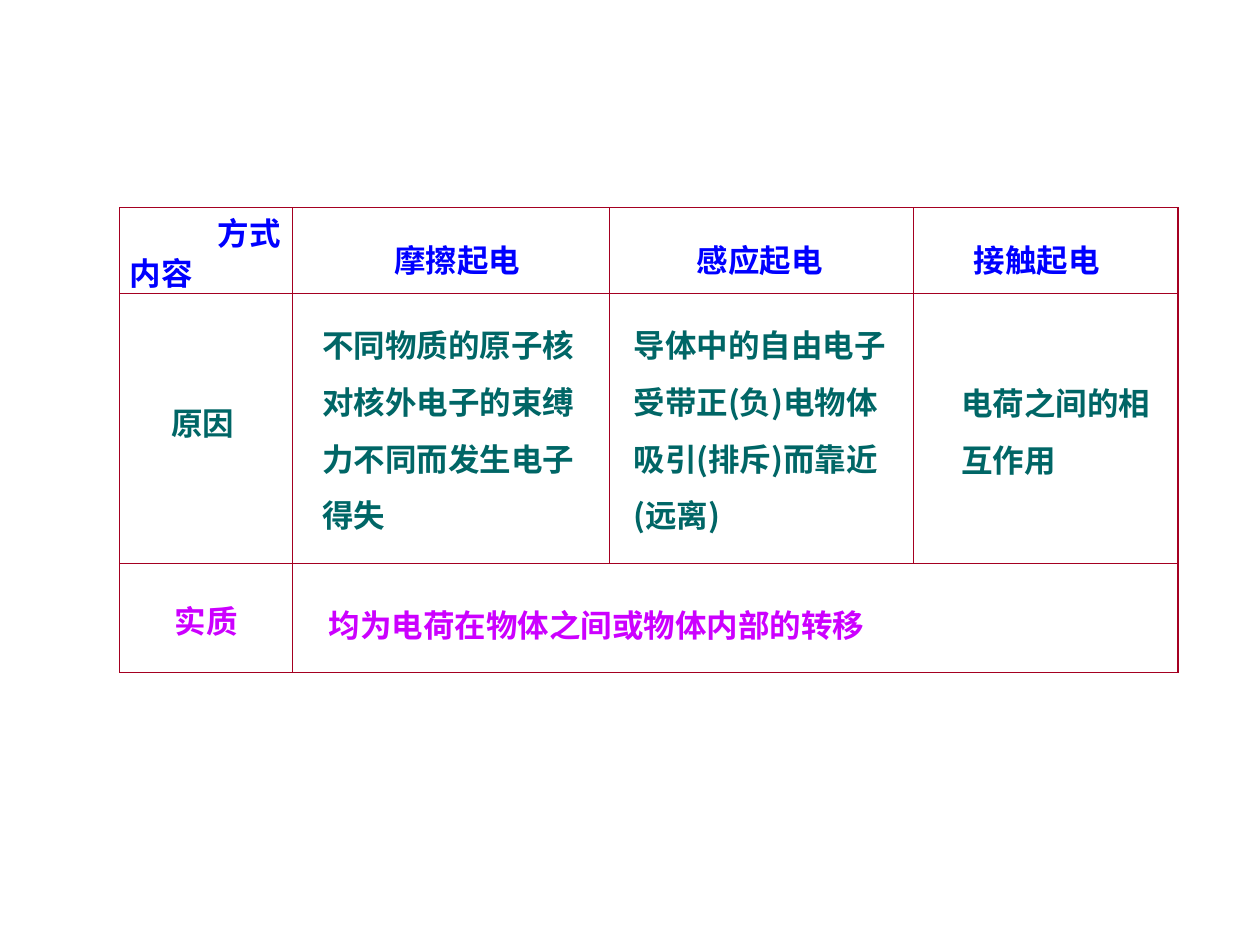
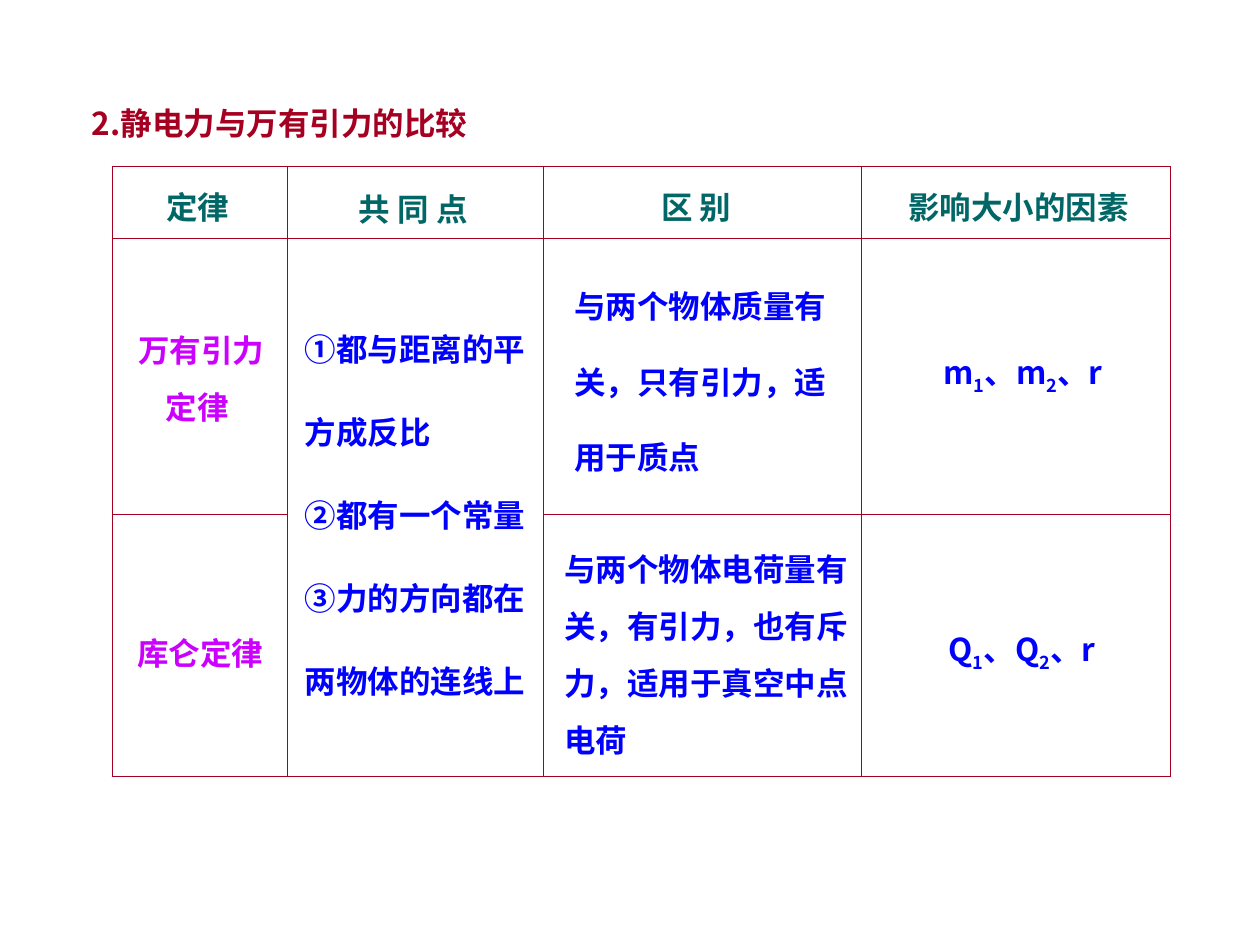
import pptx
import pptx.util
import pptx.dml.color
import pptx.enum.text
import pptx.oxml
import pptx.oxml.ns

RED = pptx.dml.color.RGBColor(0xA5, 0x00, 0x21)
GREEN = pptx.dml.color.RGBColor(0x00, 0x66, 0x66)
BLUE = pptx.dml.color.RGBColor(0x00, 0x00, 0xFF)
PINK = pptx.dml.color.RGBColor(0xCC, 0x00, 0xFF)
FONT = "Noto Sans CJK SC"
SIZE = pptx.util.Pt(18)
THICK = pptx.util.Pt(0.75)
THIN = pptx.util.Pt(0.45)
SPACE = pptx.oxml.ns.nsdecls("a")
LEFT = pptx.enum.text.PP_ALIGN.LEFT
MID = pptx.enum.text.PP_ALIGN.CENTER

deck = pptx.Presentation()
deck.slide_width = pptx.util.Inches(10)
deck.slide_height = pptx.util.Inches(7.5)
COL = deck.slide_width / 100
ROW = deck.slide_height / 75
blank = deck.slide_layouts[6]


def draw_grid(slide, left, top, cols, rows, joint):
    frame = slide.shapes.add_table(
        len(rows), len(cols), int(left * COL), int(top * ROW),
        int(sum(cols) * COL), int(sum(rows) * ROW))
    table = frame.table
    table.first_row = False
    table.horz_banding = False
    for c, width in enumerate(cols):
        table.columns[c].width = int(width * COL)
    for r, height in enumerate(rows):
        table.rows[r].height = int(height * ROW)
    start, end = joint
    table.cell(*start).merge(table.cell(*end))
    for r in range(len(rows)):
        for c in range(len(cols)):
            cell = table.cell(r, c)
            outer = {
                "lnL": c == 0,
                "lnR": c + cell.span_width == len(cols),
                "lnT": r == 0,
                "lnB": r + cell.span_height == len(rows),
            }
            props = cell._tc.get_or_add_tcPr()
            for side, edge in outer.items():
                props.append(pptx.oxml.parse_xml(
                    f'<a:{side} {SPACE} w="{THICK if edge else THIN}"><a:solidFill>'
                    f'<a:srgbClr val="{RED}"/></a:solidFill></a:{side}>'))
            cell.fill.background()


def write(slide, left, top, width, height, ink, text, gap=1.5, align=LEFT):
    box = slide.shapes.add_textbox(
        int(left * COL), int(top * ROW), int(width * COL), int(height * ROW))
    frame = box.text_frame
    frame.word_wrap = True
    frame.auto_size = pptx.enum.text.MSO_AUTO_SIZE.SHAPE_TO_FIT_TEXT
    frame.text = text.replace("|", "")
    for para, line in zip(frame.paragraphs, text.split("\n")):
        para.line_spacing = gap
        para.alignment = align
        parts = line.split("|")
        para.runs[0].text = parts[0]
        for part in parts[1:]:
            para.add_run().text = part
        for i, run in enumerate(para.runs):
            run.font.name = FONT
            run.font.size = SIZE
            run.font.bold = True
            run.font.color.rgb = ink
            props = run._r.get_or_add_rPr()
            props.append(pptx.oxml.parse_xml(f'<a:ea {SPACE} typeface="{FONT}"/>'))
            if i % 2:
                props.set("baseline", "-25000")


charge = deck.slides.add_slide(blank)
draw_grid(charge, 9.5, 16.5, [13.7, 25.2, 24.1, 21], [6.8, 21.4, 8.7], [(2, 1), (2, 3)])
write(charge, 12.6, 30.1, 18.2, 5.5, GREEN, "原因")
write(charge, 12.9, 45.8, 18.2, 5.5, PINK, "实质")
for left, top, width, height, cause in [
    (24.6, 23.9, 28.8, 19, "不同物质的原子核\n对核外电子的束缚\n力不同而发生电子\n得失"),
    (49.3, 23.9, 27.8, 19, "导体中的自由电子\n受带正(负)电物体\n吸引(排斥)而靠近\n(远离)"),
    (75.3, 28.5, 21.5, 10, "电荷之间的相\n互作用"),
]:
    write(charge, left, top, width, height, GREEN, cause)
write(charge, 25.1, 46.1, 62.2, 5.5, PINK, "均为电荷在物体之间或物体内部的转移")
write(charge, 16.3, 15, 12.1, 5.5, BLUE, "方式")
write(charge, 9.3, 18.2, 12.1, 5.5, BLUE, "内容")
for left, mode in [(30.3, "摩擦起电"), (54.3, "感应起电"), (76.3, "接触起电")]:
    write(charge, left, 17.1, 14.7, 5.5, BLUE, mode)

force = deck.slides.add_slide(blank)
write(force, 6.3, 6.3, 35.6, 5.5, RED, "2.静电力与万有引力的比较")
draw_grid(force, 8.9, 13.2, [13.9, 20.3, 25.3, 24.5], [5.7, 21.9, 20.8], [(1, 1), (2, 1)])
for left, top, width, head in [
    (12.2, 12.9, 12.1, "定律"),
    (27.5, 13.1, 19.3, "共 同 点"),
    (51.5, 12.9, 12.1, "区 别"),
    (71.1, 12.9, 24.3, "影响大小的因素"),
]:
    write(force, left, top, width, 5.5, GREEN, head)
write(force, 9.9, 24.3, 12.1, 10, PINK, "万有引力\n定律 ", align=MID)
write(force, 9.9, 48.3, 12.1, 5.5, PINK, "库仑定律")
write(force, 23.2, 22.1, 25.1, 34, BLUE,
      "①都与距离的平\n方成反比\n②都有一个常量\n③力的方向都在\n两物体的连线上", gap=2.2)
write(force, 44.6, 19.3, 28.2, 19, BLUE,
      "与两个物体质量有\n关，只有引力，适\n用于质点", gap=2.0)
write(force, 43.8, 41.7, 31.1, 19, BLUE,
      "与两个物体电荷量有\n关，有引力，也有斥\n力，适用于真空中点\n电荷")
for left, top, terms in [(73.9, 25.8, "m|1|、m|2|、r"), (74.3, 47.8, "Q|1|、Q|2|、r")]:
    write(force, left, top, 18.2, 6.1, BLUE, terms)

deck.save("out.pptx")
